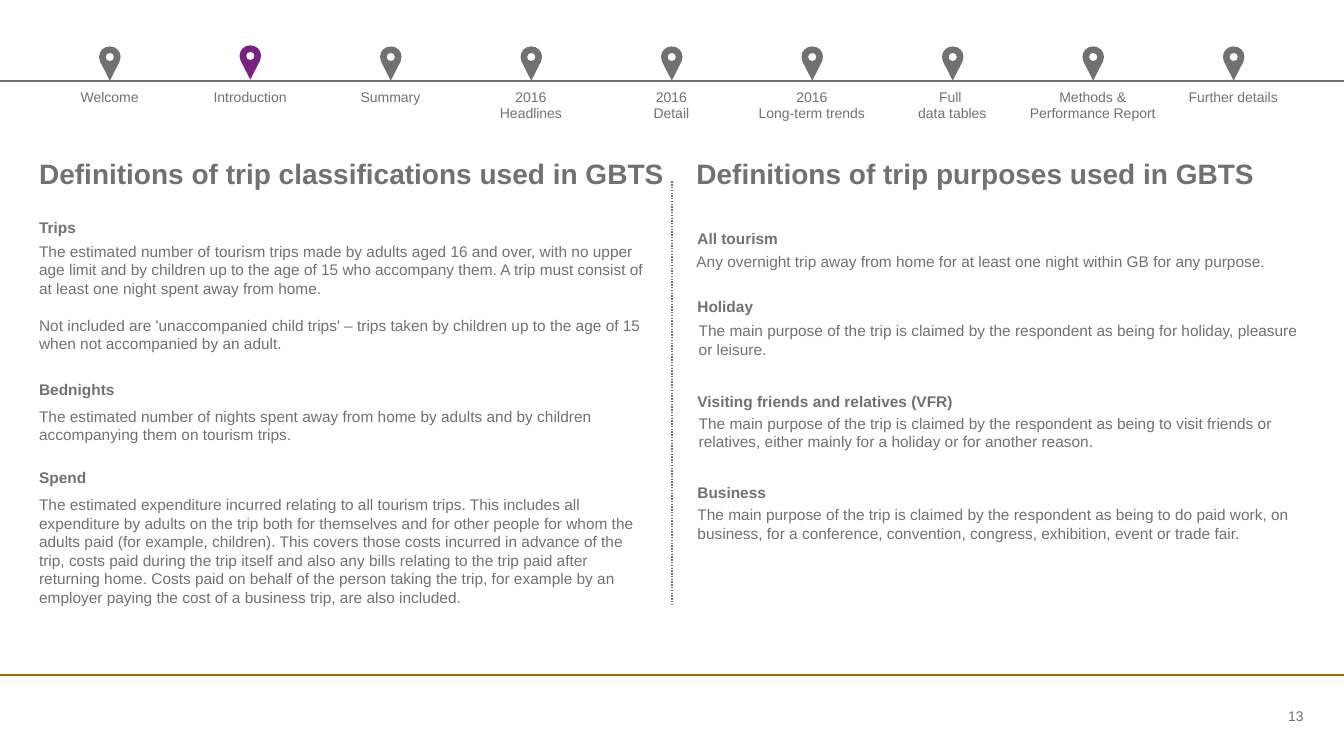
from collections import namedtuple
from copy import deepcopy

from lxml.etree import SubElement
from pptx import Presentation
from pptx.dml.color import RGBColor
from pptx.enum.dml import MSO_LINE
from pptx.enum.shapes import MSO_CONNECTOR
from pptx.enum.text import MSO_ANCHOR, PP_ALIGN
from pptx.oxml.ns import qn
from pptx.util import Inches, Pt

Box = namedtuple("Box", "x y w h")  # percent of the slide's width and height
WIDE, HIGH = Inches(13.33), Inches(7.5)

# Colours and type sizes
THEME = {
    "grey": RGBColor.from_string("717171"),
    "plum": RGBColor.from_string("7A2280"),
    "gold": RGBColor.from_string("9C7000"),
    "label": {"name": "Arial", "size": Pt(10), "bold": False},
    "text": {"name": "Arial", "size": Pt(11), "bold": False},
    "term": {"name": "Arial", "size": Pt(11), "bold": True},
    "title": {"name": "Arial", "size": Pt(20), "bold": True},
}
NO_PAD = dict.fromkeys(
    ("margin_left", "margin_top", "margin_right", "margin_bottom"), 0)
LINE = 2.47  # height of one text line
STEPS = ["Welcome", "Introduction", "Summary", "2016\nHeadlines",
         "2016\nDetail", "2016\nLong-term trends", "Full \vdata tables",
         "Methods & Performance Report", "Further details"]
ACTIVE = 1

# Pin curves on a grid of 21 by 34: a start, then three points per curve
GRID = (21, 34)
HEAD = [(21, 10.5), (21, 4.5), (16.5, 0), (10.5, 0),
        (4.5, 0), (0, 4.5), (0, 10.5), (0, 12), (0.5, 13.5), (1, 15),
        (1, 15), (10.5, 34), (10.5, 34), (10.5, 34), (20, 15), (20, 15),
        (20.5, 13.5), (21, 12), (21, 10.5)]
HOLE = [(10.5, 14.5), (8, 14.5), (6.5, 13), (6.5, 10.5),
        (6.5, 8), (8, 6.5), (10.5, 6.5), (13, 6.5), (14.5, 8), (14.5, 10.5),
        (14.5, 13), (13, 14.5), (10.5, 14.5)]

# Entries: term, its top, text top, text shift, text width, lines, text
LEFT = [
    ("Trips", 14.05, 17.2, 0, 45.3, 6,
     "The estimated number of tourism trips made by adults aged 16 and over, "
     "with no upper age limit and by children up to the age of 15 who "
     "accompany them. A trip must consist of at least one night spent away "
     "from home.\n"
     "Not included are 'unaccompanied child trips' – trips taken by children "
     "up to the age of 15 when not accompanied by an adult."),
    ("Bednights", 35.52, 39.03, 0, 46.3, 2,
     "The estimated number of nights spent away from home by adults and by "
     "children accompanying them on tourism trips."),
    ("Spend", 47.12, 50.72, 0, 45.3, 6,
     "The estimated expenditure incurred relating to all tourism trips. This "
     "includes all expenditure by adults on the trip both for themselves and "
     "for other people for whom the adults paid (for example, children). This "
     "covers those costs incurred in advance of the trip, costs paid during "
     "the trip itself and also any bills relating to the trip paid after "
     "returning home. Costs paid on behalf of the person taking the trip, for "
     "example by an employer paying the cost of a business trip, are also "
     "included."),
]
CLAIM = "The main purpose of the trip is claimed by the respondent as being "
RIGHT = [
    ("All tourism", 15.47, 18.53, 0, 45.46, 1,
     "Any overnight trip away from home for at least one night within GB for "
     "any purpose."),
    ("Holiday", 24.53, 27.68, 0.17, 45.46, 2,
     CLAIM + "for holiday, pleasure or leisure."),
    ("Visiting friends and relatives (VFR)", 37.07, 39.92, 0.17, 45.46, 2,
     CLAIM + "to visit friends or relatives, either mainly for a holiday or "
     "for another reason."),
    ("Business", 49.12, 52.05, 0.08, 45.46, 2,
     CLAIM + "to do paid work, on business, for a conference, convention, "
     "congress, exhibition, event or trade fair."),
]


def place(box):
    return [int(part * full / 100)
            for part, full in zip(box, (WIDE, HIGH, WIDE, HIGH))]


def apply(item, form):
    for key, value in form.items():
        setattr(item, key, value)


def fill_text(frame, words, style, align=PP_ALIGN.LEFT, gap=0):
    frame.text = words
    for num, para in enumerate(frame.paragraphs):
        para.alignment = align
        if num and gap:
            para.space_before = Pt(gap)
        for run in para.runs:
            apply(run.font, THEME[style])
            run.font.color.rgb = THEME["grey"]
        for gap_mark in para._p.findall(qn("a:br")):
            gap_mark.insert(0, deepcopy(para.runs[0]._r.rPr))


def add_text(slide, box, words, style, anchor=MSO_ANCHOR.TOP, **form):
    frame = slide.shapes.add_textbox(*place(box)).text_frame
    apply(frame, {**NO_PAD, "word_wrap": True, "vertical_anchor": anchor})
    fill_text(frame, words, style, **form)


def add_rule(slide, box, tint, width, dash=None):
    x, y, w, h = place(box)
    rule = slide.shapes.add_connector(
        MSO_CONNECTOR.STRAIGHT, x, y, x + w, y + h)
    rule.line.color.rgb = THEME[tint]
    apply(rule.line, {"width": Pt(width), "dash_style": dash})
    SubElement(rule._element.spPr, qn("a:effectLst"))


def add_pin(slide, box, tint):
    x, y, w, h = place(box)
    head, hole = ([(round(x + w * col / GRID[0]), round(y + h * row / GRID[1]))
                   for col, row in part] for part in (HEAD, HOLE))
    pen = slide.shapes.build_freeform(*head[0], scale=1.0)
    pen.add_line_segments(head[1:], close=True)
    pen.move_to(*hole[0])
    pen.add_line_segments(hole[1:], close=True)
    pin = pen.convert_to_shape()
    # Join each three points into one curve
    legs = list(pin._element.iter(qn("a:lnTo")))
    for one, two, end in zip(legs[::3], legs[1::3], legs[2::3]):
        one.tag = qn("a:cubicBezTo")
        for leg in (two, end):
            one.append(leg[0])
            leg.getparent().remove(leg)
    pin.fill.solid()
    pin.fill.fore_color.rgb = THEME[tint]
    pin.line.fill.background()
    pin.shadow.inherit = False


# Row of steps with pins on a line
def add_steps(slide, box):
    count = len(STEPS)
    col = box.w / count
    grid = Box(box.x, box.y + 1.27, box.w, box.h)
    table = slide.shapes.add_table(1, count, *place(grid)).table
    apply(table, {"first_row": False, "horz_banding": False})
    add_rule(slide, Box(0, box.y, 100, 0), "grey", 1.25)
    for num, words in enumerate(STEPS):
        cell = table.cell(0, num)
        apply(cell, NO_PAD)
        cell.fill.background()
        fill_text(cell.text_frame, words, "label", PP_ALIGN.CENTER)
        on = num == ACTIVE
        lift = 4.67 if on else 4.53
        left = box.x + (num + 0.5) * col - 0.78
        add_pin(slide, Box(left, box.y - lift, 1.6, 4.53),
                "plum" if on else "grey")


# One column of definitions
def add_panel(slide, box, title, items, inset=0):
    add_text(slide, Box(box.x, box.y + 0.1, box.w, 10.27), title, "title",
             MSO_ANCHOR.BOTTOM)
    for term, top, low, shift, width, lines, words in items:
        add_text(slide, Box(box.x + inset, box.y + top, 29.33, LINE),
                 term, "term")
        add_text(slide, Box(box.x + shift, box.y + low, width, lines * LINE),
                 words, "text", gap=13.2)


# Closing line and page number
def add_foot(slide, box):
    add_rule(slide, Box(0, box.y, 100, 0), "gold", 1.5)
    add_text(slide, Box(box.x + box.w - 8, box.y + 3.87, 8, 2.93), "13",
             "label", MSO_ANCHOR.MIDDLE, align=PP_ALIGN.RIGHT)


def main():
    deck = Presentation()
    apply(deck, {"slide_width": WIDE, "slide_height": HIGH})
    slide = deck.slides.add_slide(deck.slide_layouts[6])
    add_steps(slide, Box(2.93, 10.67, 94.07, 4.67))
    add_panel(slide, Box(2.91, 14.8, 47.11, 70.4),
              "Definitions of trip classifications used in GBTS", LEFT)
    add_rule(slide, Box(50, 24, 0, 55.87), "grey", 1, MSO_LINE.ROUND_DOT)
    add_panel(slide, Box(51.82, 14.8, 45.16, 70.4),
              "Definitions of trip purposes used in GBTS", RIGHT, 0.07)
    add_foot(slide, Box(2.93, 89.33, 94.07, 10.67))
    deck.save("out.pptx")


if __name__ == "__main__":
    main()
